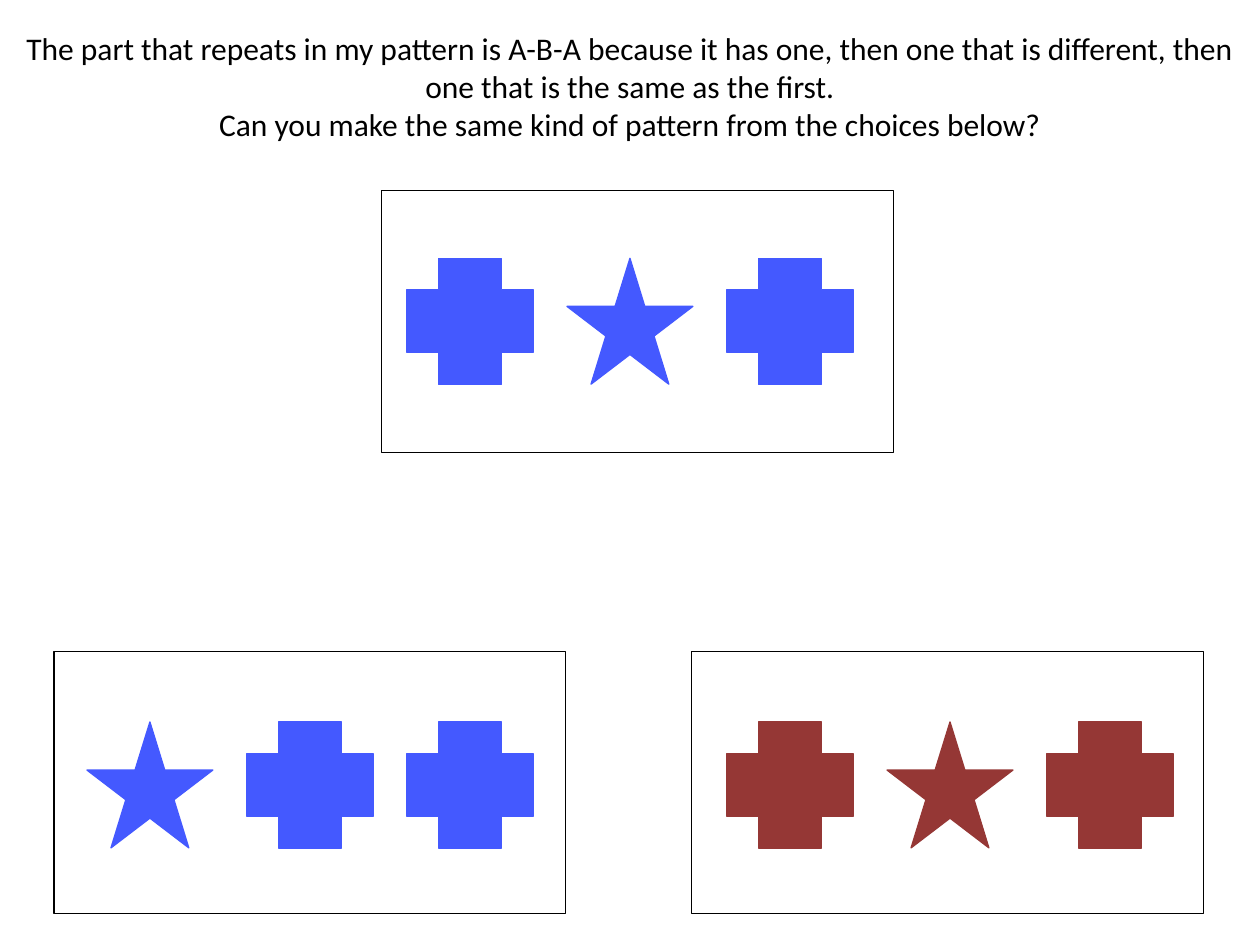
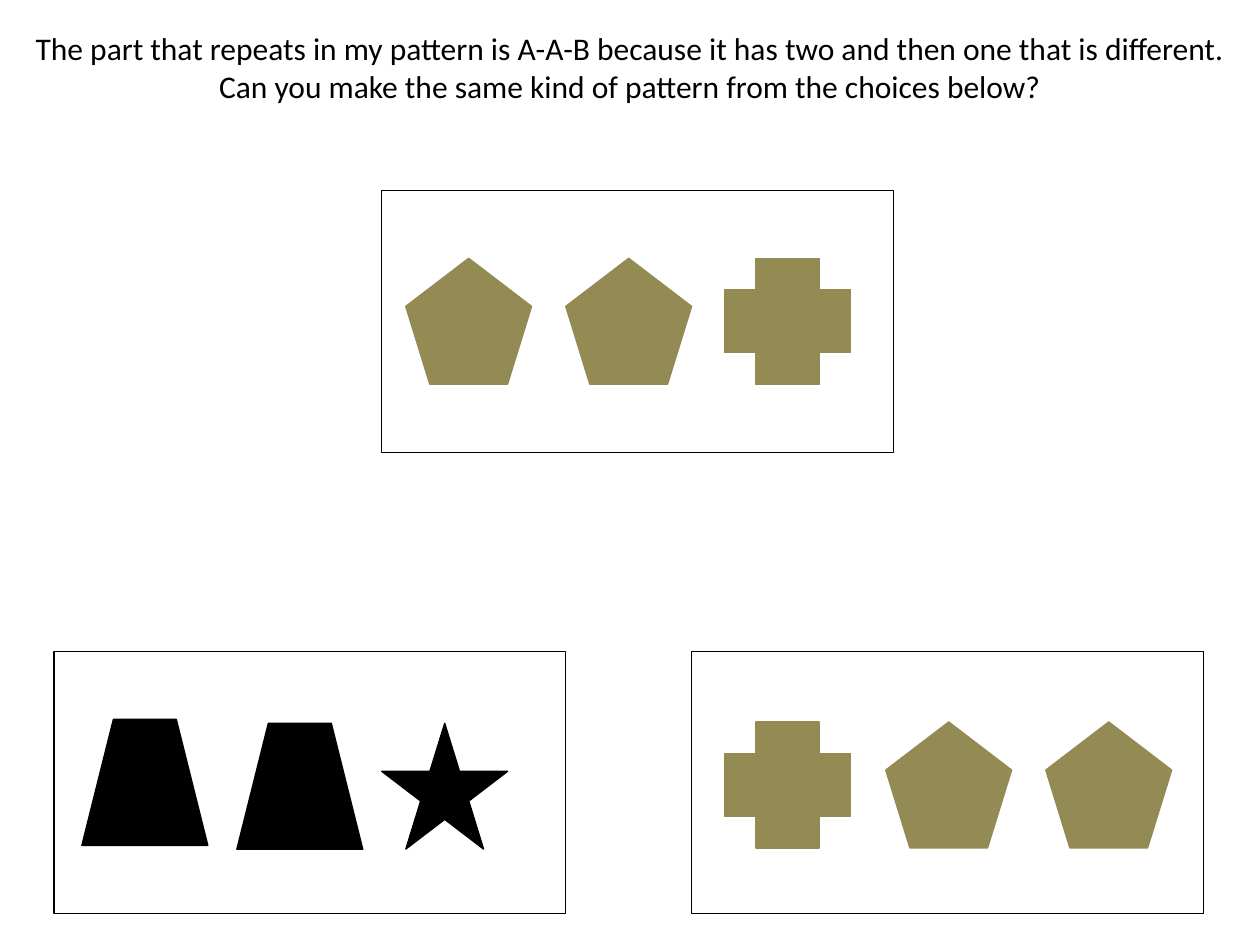
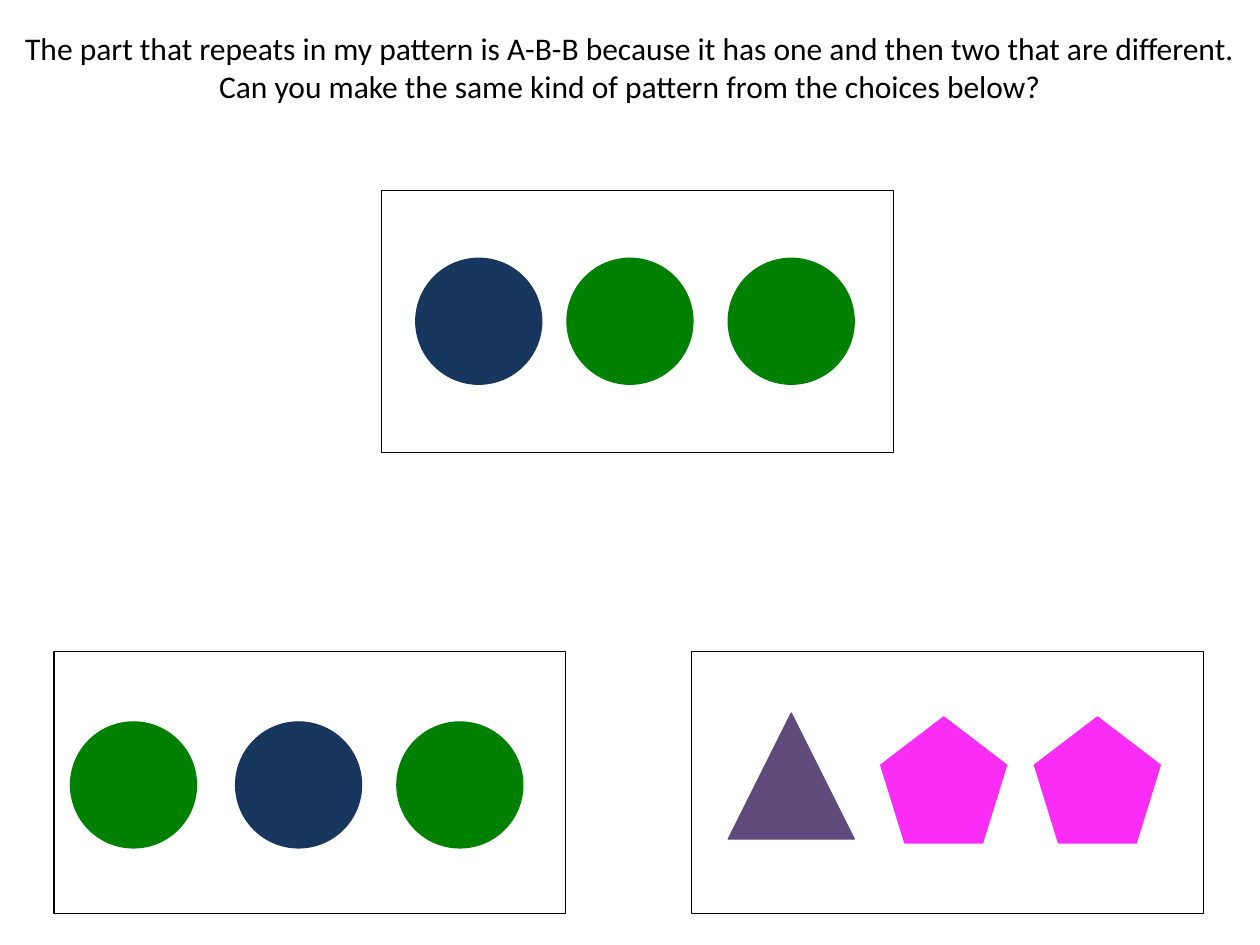
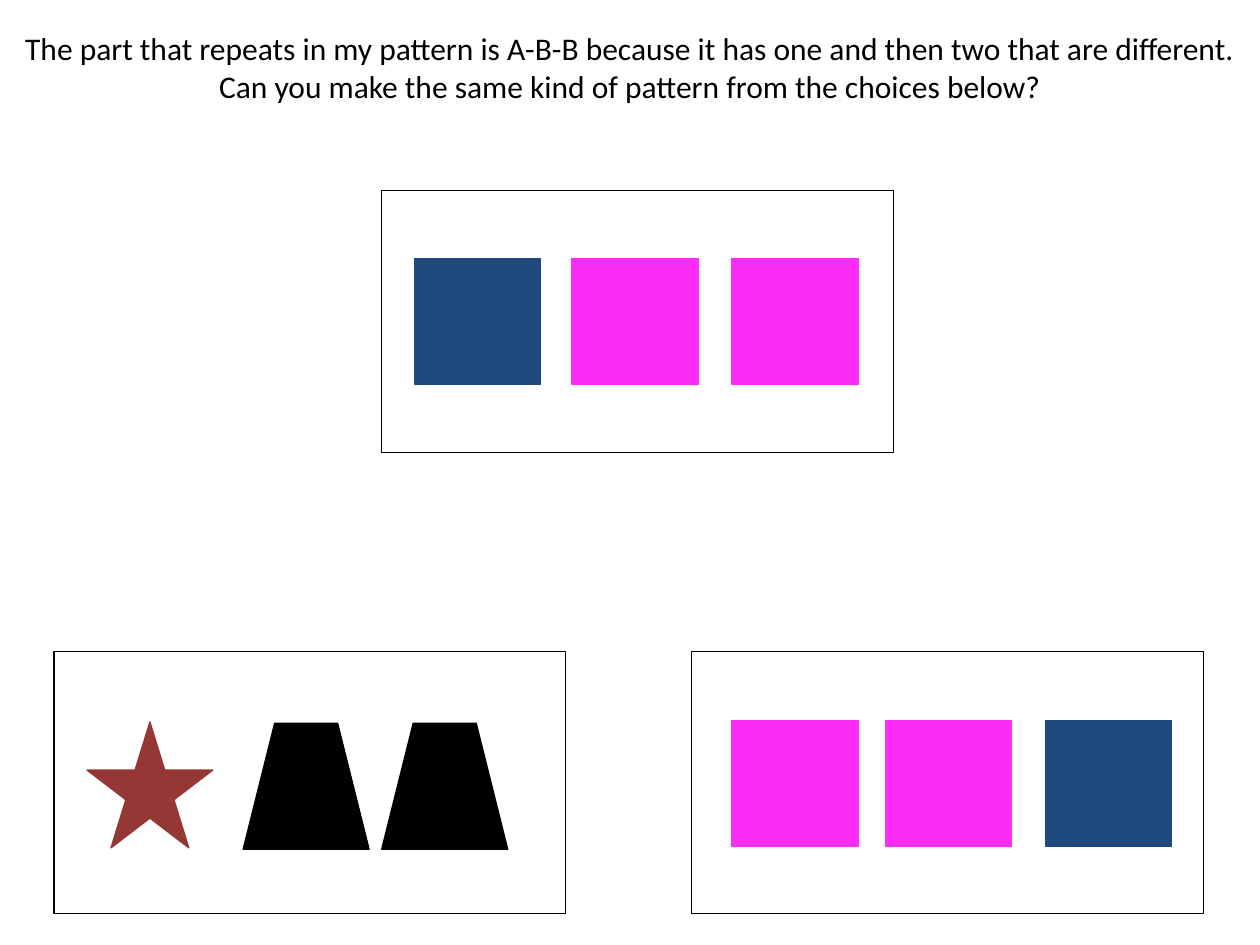
from dataclasses import dataclass
from typing import NamedTuple

from pptx import Presentation
from pptx.dml.color import RGBColor as Rgb
from pptx.enum.shapes import MSO_SHAPE as Kind
from pptx.enum.text import MSO_ANCHOR as Anchor, MSO_AUTO_SIZE as Fit, PP_ALIGN as Align
from pptx.util import Inches, Pt


# Theme: colours, type and line sizes
@dataclass(frozen=True)
class Theme:
    font: str = "Calibri"
    size: float = 18
    line: float = 0.75
    black: str = "000000"
    blue: str = "4459FF"
    red: str = "953735"
    khaki: str = "948A54"
    navy: str = "17375E"
    green: str = "008000"
    pink: str = "FC2CF7"
    plum: str = "604A7B"
    steel: str = "1F497D"


T = Theme()

# Grid in inches: seven columns of one-inch tiles
WIDE, HIGH = 10, 7.5
EDGE, STEP, TILE = 0.69, 1.27, 1
BOX_W, BOX_H = 4.06, 2.08


class Slot(NamedTuple):
    """A framed box, with its first tile column and its tile row."""
    left: float
    top: float
    col: int
    row: float


SLOTS = (
    Slot(3.03, 1.51, 2, 2.05),  # model pattern
    Slot(0.43, 5.17, 0, 5.73),  # left choice
    Slot(5.49, 5.17, 4, 5.73),  # right choice
)


class Tile(NamedTuple):
    """A pattern piece; dx and dy nudge it off the grid."""
    kind: Kind
    tint: str
    dx: float = 0
    dy: float = 0


@dataclass(frozen=True)
class Page:
    rule: str
    rows: tuple[tuple[Tile, ...], ...]  # one row of tiles for each slot
    title_h: float = 0.71


# Content
LEAD = "The part that repeats in my pattern is "
ASK = "Can you make the same kind of pattern from the choices below?"
ABB = "A-B-B because it has one and then two that are different."

PLUS, STAR, PENTA = Kind.CROSS, Kind.STAR_5_POINT, Kind.REGULAR_PENTAGON
TRAP, DISC, BLOCK = Kind.TRAPEZOID, Kind.OVAL, Kind.RECTANGLE

blue_plus, blue_star = Tile(PLUS, T.blue), Tile(STAR, T.blue)
red_plus, red_star = Tile(PLUS, T.red), Tile(STAR, T.red)
penta, plus = Tile(PENTA, T.khaki, -0.01), Tile(PLUS, T.khaki, -0.02)

PAGES = (
    Page(
        "A-B-A because it has one, then one that is different, "
        "then one that is the same as the first.",
        (
            (blue_plus, blue_star, blue_plus),
            (blue_star, blue_plus, blue_plus),
            (red_plus, red_star, red_plus),
        ),
        title_h=1.01,
    ),
    Page(
        "A-A-B because it has two and then one that is different.",
        (
            (penta, penta, plus),
            (Tile(TRAP, T.black, -0.04, -0.02), Tile(TRAP, T.black, -0.08, 0.01),
             Tile(STAR, T.black, -0.2, 0.01)),
            (plus, penta, penta),
        ),
    ),
    Page(
        ABB,
        (
            (Tile(DISC, T.navy, 0.07), Tile(DISC, T.green), Tile(DISC, T.green, 0.01)),
            (Tile(DISC, T.green, -0.13), Tile(DISC, T.navy, -0.09),
             Tile(DISC, T.green, -0.08)),
            (Tile(Kind.ISOSCELES_TRIANGLE, T.plum, 0.01, -0.07),
             Tile(PENTA, T.pink, -0.05, -0.04), Tile(PENTA, T.pink, -0.1, -0.04)),
        ),
    ),
    Page(
        ABB,
        (
            (Tile(BLOCK, T.steel, 0.06), Tile(BLOCK, T.pink, 0.04),
             Tile(BLOCK, T.pink, 0.04)),
            (red_star, Tile(TRAP, T.black, -0.03, 0.01), Tile(TRAP, T.black, -0.2, 0.01)),
            (Tile(BLOCK, T.pink, 0.04, -0.01), Tile(BLOCK, T.pink, -0.01, -0.01),
             Tile(BLOCK, T.steel, -0.01, -0.01)),
        ),
    ),
)


# Drawing
def draw(slide, kind: Kind, left: float, top: float, wide: float, high: float,
         line: str, fill: str | None = None) -> None:
    shape = slide.shapes.add_shape(kind, *map(Inches, (left, top, wide, high)))
    shape.shadow.inherit = False
    shape.line.color.rgb = Rgb.from_string(line)
    shape.line.width = Pt(T.line)
    if fill:
        shape.fill.solid()
        shape.fill.fore_color.rgb = Rgb.from_string(fill)
    else:
        shape.fill.background()


def draw_row(slide, slot: Slot, row: tuple[Tile, ...]) -> None:
    draw(slide, BLOCK, slot.left, slot.top, BOX_W, BOX_H, T.black)
    for col, tile in enumerate(row, slot.col):
        draw(slide, tile.kind, EDGE + col * STEP + tile.dx, slot.row + tile.dy,
             TILE, TILE, tile.tint, tile.tint)


def set_title(slide, page: Page) -> None:
    title = slide.shapes.title
    title.left, title.top = 0, Inches(0.18)
    title.width, title.height = Inches(WIDE), Inches(page.title_h)
    frame = title.text_frame
    frame.text = f"{LEAD}{page.rule}\n{ASK}"
    frame.word_wrap = True
    frame.auto_size = Fit.SHAPE_TO_FIT_TEXT
    frame.vertical_anchor = Anchor.TOP
    for para in frame.paragraphs:
        para.alignment = Align.CENTER
        para.font.name = T.font
        para.font.size = Pt(T.size)
        para.font.color.rgb = Rgb.from_string(T.black)


def main() -> None:
    deck = Presentation()
    deck.slide_width, deck.slide_height = Inches(WIDE), Inches(HIGH)
    for page in PAGES:
        slide = deck.slides.add_slide(deck.slide_layouts[5])
        set_title(slide, page)
        for slot, row in zip(SLOTS, page.rows):
            draw_row(slide, slot, row)
    deck.save("out.pptx")


if __name__ == "__main__":
    main()
